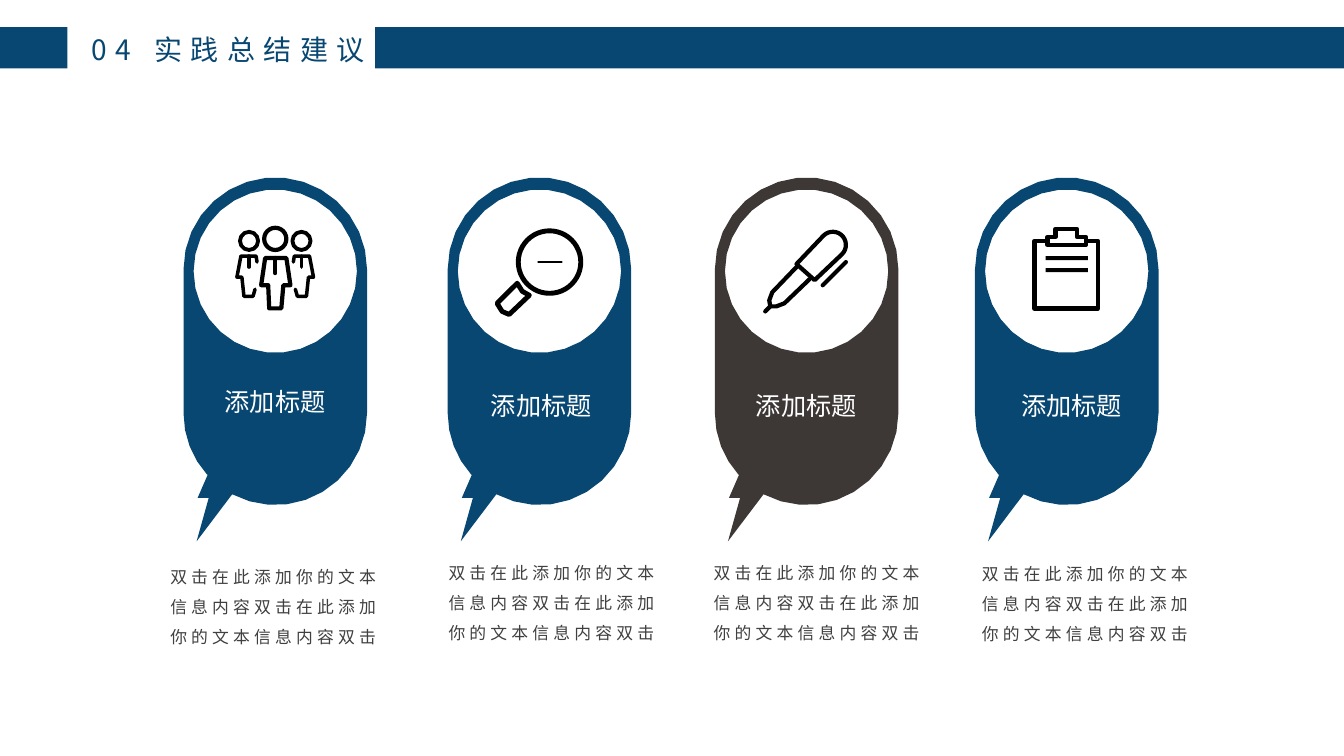
import math
from lxml import etree
from pptx import Presentation, util as u
from pptx.dml.color import RGBColor
from pptx.enum import shapes, text
from pptx.oxml.ns import qn

PX = 9144  # 100 px to the inch
FONT = "Noto Sans CJK SC"
HEX = {"blue": "084772", "brown": "3D3836", "ink": "000000",
       "gray": "404040", "white": "FFFFFF"}
RGB = {name: RGBColor.from_string(code) for name, code in HEX.items()}

deck = Presentation()
deck.slide_width, deck.slide_height = 1333 * PX, 750 * PX
slide = deck.slides.add_slide(deck.slide_layouts[5])
tree = slide.shapes


def arc(x, y, r, start, end):
    """Points on a circle from start to end, in degrees clockwise from the right."""
    count = math.ceil(abs(end - start) / 12)
    turns = [math.radians(start + (end - start) * i / count) for i in range(count + 1)]
    return [(x + r * math.cos(t), y + r * math.sin(t)) for t in turns]


def write(shape, words, size, color, space=0):
    """Put one styled run into a shape, with letter spacing in points."""
    frame = shape.text_frame
    frame.word_wrap = True
    frame.auto_size = text.MSO_AUTO_SIZE.SHAPE_TO_FIT_TEXT
    frame.vertical_anchor = text.MSO_ANCHOR.TOP
    para = frame.paragraphs[0]
    run = para.add_run()
    run.text = words
    run.font.name, run.font.size = FONT, u.Pt(size)
    run.font.color.rgb = RGB[color]
    props = run.font._element
    props.set("spc", str(space * 100))
    etree.SubElement(props, qn("a:ea"), typeface=FONT)
    return para


title = tree.title
title.left, title.top, title.width, title.height = 67 * PX, 27 * PX, 305 * PX, 44 * PX
para = write(title, "04 实践总结建议", 20, "blue", 6)
para.alignment = text.PP_ALIGN.RIGHT
para.line_spacing = 1.0
title.text_frame.word_wrap = False

# Header band and the ruled lines on the clipboard
bars = [(0, 27, 67, 41, "blue"), (372, 27, 961, 41, "blue"),
        (1037, 254, 42, 4, "ink"), (1037, 266, 42, 4, "ink")]
for *place, color in bars:
    bar = tree.add_shape(shapes.MSO_SHAPE.RECTANGLE, *[n * PX for n in place])
    bar.shadow.inherit = False
    bar.fill.solid()
    bar.fill.fore_color.rgb = RGB[color]
    bar.line.fill.background()

# Speech bubbles: left edge, colour, heading place, note place
cards = [
    (182, "blue", (213, 378), (159, 547)),
    (444, "blue", (477, 382), (435, 543)),
    (709, "brown", (740, 382), (698, 543)),
    (967, "blue", (1003, 382), (964, 544)),
]
filled = []
for left, color, head, note in cards:
    mid = left + 91
    tail = [(left + x, y) for x, y in [(13, 537), (25, 494), (14, 494), (24, 471)]]
    rim = (arc(mid, 267, 91, 180, 360) + arc(mid, 410, 91, 0, 118)
           + tail + arc(mid, 410, 91, 138, 180))
    filled.append(([rim, arc(mid, 269, 81, 360, 0)], color, 0))

# Icon outlines, drawn as strokes
torso = [(263, 256), (284, 256), (288, 283), (281, 283), (279, 306),
         (267, 306), (266, 283), (259, 283), (263, 256)]
tie = [(273, 256), (273, 271)]
side = [(291, 260), (292, 254), (307, 254), (311, 275),
        (306, 275), (304, 294), (295, 294), (293, 287)]
knot = [(299, 254), (299, 265)]
mirror = [[(546 - x, y) for x, y in line] for line in (side, knot)]
handle = [(513, 281), (518, 289), (525, 293), (505, 312),
          (498, 309), (493, 301), (513, 281)]
barrel = [(790, 262)] + arc(826, 243, 13, -135, 45) + [(808, 278), (790, 262)]
nib = [(790, 265), (766, 290), (763, 298), (764, 304), (770, 304), (778, 301), (803, 277)]
tip = [(759, 309), (764, 304)]
board = [(1037, 239), (1026, 239), (1026, 306), (1089, 306), (1089, 239), (1079, 239)]
clip = [(1039, 243), (1039, 235), (1047, 235), (1047, 227), (1068, 227),
        (1068, 235), (1077, 235), (1077, 243), (1039, 243)]
drawn = [([torso, tie], None, 3), ([side, knot] + mirror, None, 2.5),
         ([handle], None, 3.5), ([barrel, nib, tip], None, 3), ([board, clip], None, 3)]

strokes = []
for parts, color, weight in filled + drawn:
    spots = [[(x * PX, y * PX) for x, y in part] for part in parts]
    pen = tree.build_freeform(*spots[0][0])
    for part in spots:
        pen.move_to(*part[0]) if part is not spots[0] else None
        pen.add_line_segments(part[1:], close=False)
    shape = pen.convert_to_shape()
    shape.shadow.inherit = False
    if color:
        shape.fill.solid()
        shape.fill.fore_color.rgb = RGB[color]
        shape.line.fill.background()
    else:
        shape.fill.background()
        strokes.append((shape, weight))

rings = [(273, 237, 11, 3), (247, 239, 9, 2.75), (299, 239, 9, 2.75), (545, 260, 31, 3.5)]
for x, y, r, weight in rings:
    ring = tree.add_shape(shapes.MSO_SHAPE.OVAL, (x - r) * PX, (y - r) * PX,
                          2 * r * PX, 2 * r * PX)
    ring.shadow.inherit = False
    ring.fill.background()
    strokes.append((ring, weight))

# Minus sign in the lens and the clip of the pen
for *ends, weight in [(534, 260, 557, 260, 1.75), (816, 283, 839, 260, 3)]:
    line = tree.add_connector(shapes.MSO_CONNECTOR.STRAIGHT, *[n * PX for n in ends])
    line.line.color.rgb = RGB["ink"]
    etree.SubElement(line._element.spPr, qn("a:effectLst"))
    strokes.append((line, weight))

for shape, weight in strokes:
    shape.line.color.rgb = RGB["ink"]
    shape.line.width = u.Pt(weight)
    edge = shape._element.spPr.find(qn("a:ln"))
    edge.set("cap", "rnd")
    etree.SubElement(edge, qn("a:round"))

for left, color, head, note in cards:
    box = tree.add_textbox(head[0] * PX, head[1] * PX, 163 * PX, 40 * PX)
    write(box, "添加标题", 18, "white")
    box = tree.add_textbox(note[0] * PX, note[1] * PX, 229 * PX, 97 * PX)
    words = "双击在此添加你的文本信息内容" * 2 + "双击"
    write(box, words, 12, "gray", 3).line_spacing = 1.5

deck.save("out.pptx")
